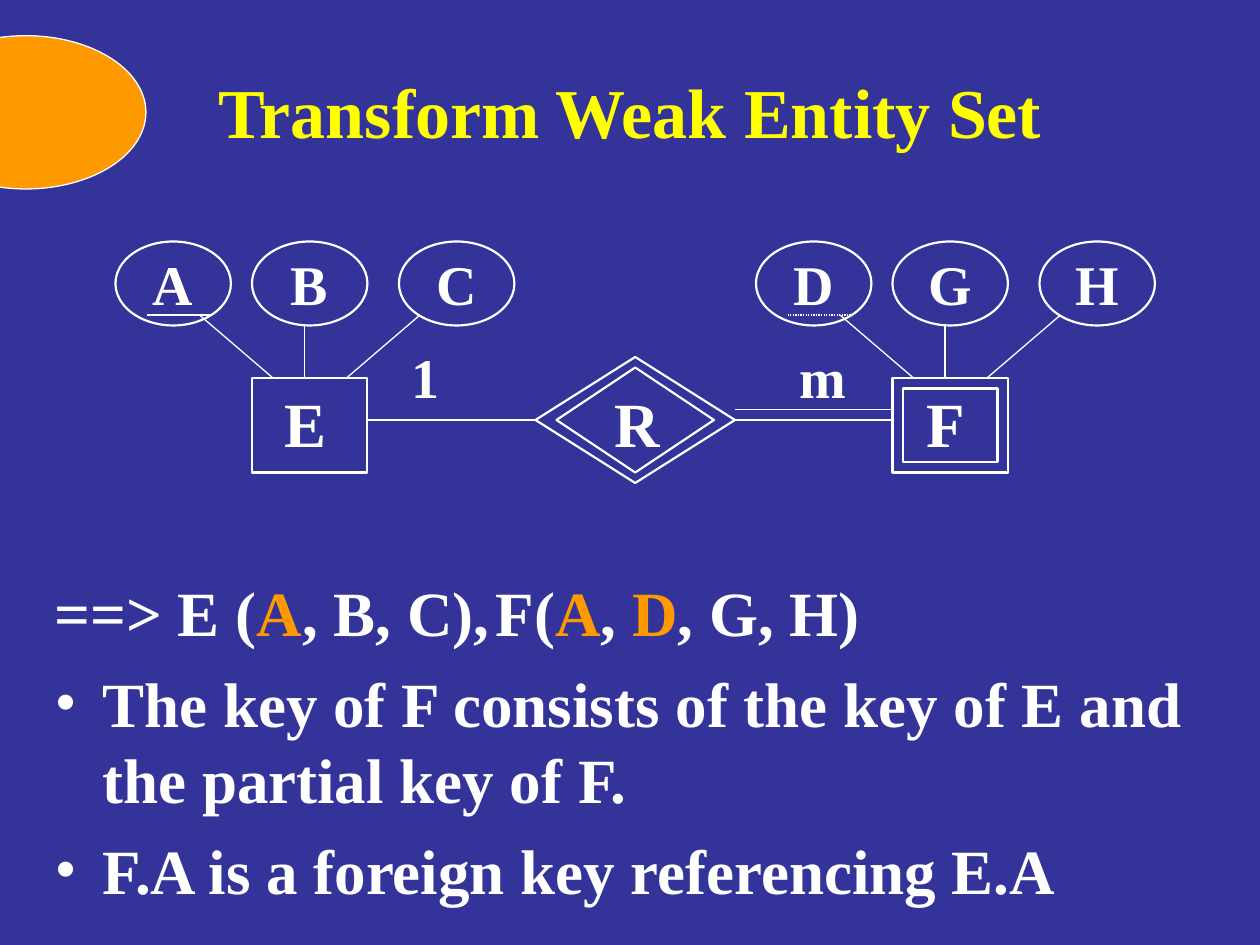
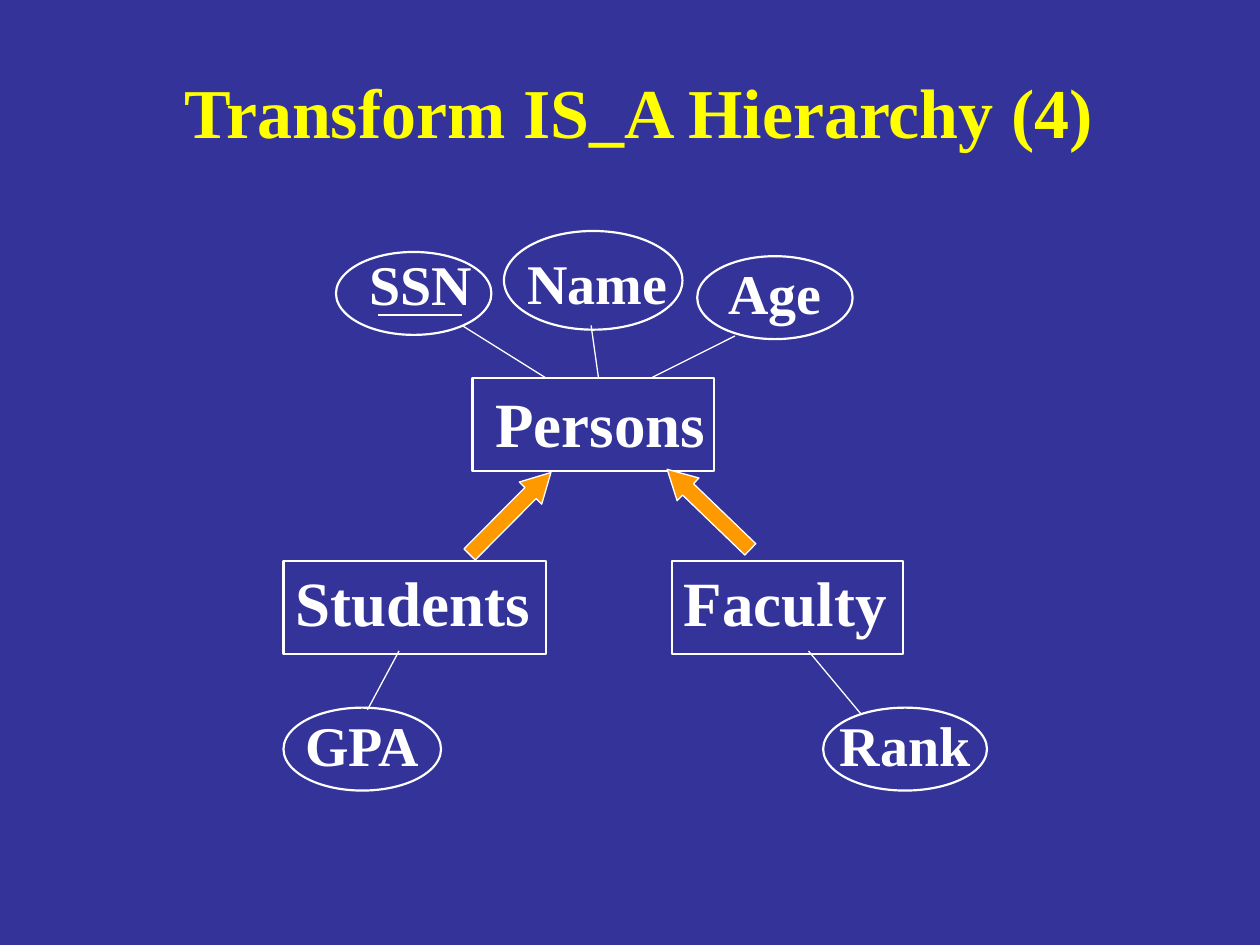
from dataclasses import dataclass

from lxml import etree
from pptx import Presentation, util as u
from pptx.dml.color import RGBColor
from pptx.enum import dml, shapes, text
from pptx.oxml import ns

COLUMNS, ROWS = 120, 90  # grid that covers the slide


@dataclass(frozen=True)
class Theme:
    font: str = "Times New Roman"
    background: str = "333399"
    title: str = "FFFF00"
    ink: str = "FFFFFF"
    accent: str = "FF9900"
    title_size: int = 40
    body_size: int = 36
    attribute_size: int = 32
    outline: float = 1.25
    hairline: float = 0.75


THEME = Theme()
SHAPE = shapes.MSO_SHAPE


def color(name):
    return RGBColor.from_string(name)


def set_font(paragraph, size, ink=THEME.ink):
    font = paragraph.font
    font.name, font.size, font.bold = THEME.font, u.Pt(size), True
    font.color.rgb = color(ink)


def clear_margins(frame):
    frame.margin_left = frame.margin_right = 0
    frame.margin_top = frame.margin_bottom = 0


def add_pPr_child(paragraph, tag, **attributes):
    properties = paragraph._p.get_or_add_pPr()
    return etree.SubElement(properties, ns.qn(tag), attributes)


class Area:
    """Part of a slide, measured in grid columns and rows from its corner."""

    def __init__(self, presentation, slide, left=0, top=0):
        self.slide, self.left, self.top = slide, left, top
        self.column = presentation.slide_width / COLUMNS
        self.row = presentation.slide_height / ROWS

    def point(self, x, y):
        return (u.Emu(round((self.left + x) * self.column)),
                u.Emu(round((self.top + y) * self.row)))

    def box(self, left, top, width, height):
        return (*self.point(left, top),
                u.Emu(round(width * self.column)), u.Emu(round(height * self.row)))

    def move(self, placeholder, box):
        (placeholder.left, placeholder.top,
         placeholder.width, placeholder.height) = self.box(*box)

    def set_label(self, frame, label, size, shift=(0, 0)):
        """Centre a label, moved off the middle by shift."""
        clear_margins(frame)
        frame.word_wrap = False
        frame.vertical_anchor = text.MSO_ANCHOR.MIDDLE
        across = u.Emu(round(2 * abs(shift[0]) * self.column))
        down = u.Emu(round(2 * abs(shift[1]) * self.row))
        if shift[0] > 0:
            frame.margin_left = across
        else:
            frame.margin_right = across
        if shift[1] > 0:
            frame.margin_top = down
        else:
            frame.margin_bottom = down
        paragraph = frame.paragraphs[0]
        paragraph.text = label
        paragraph.alignment = text.PP_ALIGN.CENTER
        set_font(paragraph, size)

    def shape(self, kind, box, fill=None, line=THEME.outline):
        shape = self.slide.shapes.add_shape(kind, *self.box(*box))
        shape.shadow.inherit = False
        if fill:
            shape.fill.solid()
            shape.fill.fore_color.rgb = color(fill)
        else:
            shape.fill.background()
        shape.line.color.rgb = color(THEME.ink)
        shape.line.width = u.Pt(line)
        return shape

    def node(self, kind, label, box, size=THEME.body_size, shift=(0, 0)):
        shape = self.shape(kind, box)
        self.set_label(shape.text_frame, label, size, shift)
        return shape

    def attribute(self, label, box, shift=(0, 0)):
        return self.node(SHAPE.OVAL, label, box, THEME.attribute_size, shift)

    def label(self, label, box):
        textbox = self.slide.shapes.add_textbox(*self.box(*box))
        self.set_label(textbox.text_frame, label, THEME.attribute_size)

    def link(self, start, end, dotted=False):
        connector = self.slide.shapes.add_connector(
            shapes.MSO_CONNECTOR.STRAIGHT, *self.point(*start), *self.point(*end))
        connector.line.color.rgb = color(THEME.ink)
        connector.line.width = u.Pt(THEME.hairline)
        if dotted:
            connector.line.dash_style = dml.MSO_LINE.ROUND_DOT
        etree.SubElement(connector._element.spPr, ns.qn("a:effectLst"))
        return connector


def add_titled_slide(presentation, layout_name, title, inset=0):
    layout = presentation.slide_layouts.get_by_name(layout_name)
    slide = presentation.slides.add_slide(layout)
    page = Area(presentation, slide)
    page.move(slide.shapes.title, (9, 5, 102, 11))
    frame = slide.shapes.title.text_frame
    clear_margins(frame)
    frame.margin_left = u.Inches(inset)
    frame.vertical_anchor = text.MSO_ANCHOR.MIDDLE
    paragraph = frame.paragraphs[0]
    paragraph.text = title
    paragraph.alignment = text.PP_ALIGN.CENTER
    set_font(paragraph, THEME.title_size, THEME.title)
    return page


def draw_entity_set(area, entity, attributes, weak=False):
    """Three attributes above their entity; the first one is the key."""
    for label, left in zip(attributes, (0, 13, 27)):
        area.attribute(label, (left, 0, 11, 8))
    area.link((3, 7), (9, 7), dotted=weak)
    for start, end in (((8, 7), (15, 13)), ((18, 8), (18, 13)), ((29, 7), (22, 13))):
        area.link(start, end)
    area.node(SHAPE.RECTANGLE, entity, (13, 13, 11, 9), shift=(-0.4, -0.3))
    if weak:
        area.shape(SHAPE.RECTANGLE, (14, 14, 9, 7))


def draw_relationship(area):
    """Double diamond with its single link and its double link."""
    diamond = area.node(SHAPE.DIAMOND, "R", (16, 0, 19, 12), shift=(0.2, 0.2))
    area.shape(SHAPE.DIAMOND, (18, 1, 15, 10))
    area.link((0, 6), (16, 6)).end_connect(diamond, 1)
    area.link((35, 6), (50, 6)).begin_connect(diamond, 3)
    area.link((35, 5), (50, 5))
    area.label("1", (3, -2, 5, 7.7))
    area.label("m", (40, -2, 6.8, 7.7))


def fill_schema_list(area, placeholder, box):
    area.move(placeholder, box)
    frame = placeholder.text_frame
    frame.word_wrap = True

    # Relation schemas, with key attributes in the accent colour
    schema = frame.paragraphs[0]
    properties = schema._p.get_or_add_pPr()
    properties.set("marL", "0")
    properties.set("indent", "0")
    schema.space_before = u.Pt(0)
    add_pPr_child(schema, "a:buNone")
    tabs = add_pPr_child(schema, "a:tabLst")
    etree.SubElement(tabs, ns.qn("a:tab"), pos=str(u.Inches(3.82)), algn="l")
    set_font(schema, THEME.body_size)
    parts = (("==> E (", False), ("A", True), (", B, C),\tF(", False),
             ("A", True), (",", False), (" D", True), (", G, H)", False))
    for words, is_key in parts:
        run = schema.add_run()
        run.text = words
        run.font.color.rgb = color(THEME.accent if is_key else THEME.ink)

    # Bulleted remarks
    for remark in ("The key of F consists of the key of E and the partial key of F.",
                   "F.A is a foreign key referencing E.A"):
        paragraph = frame.add_paragraph()
        paragraph.text = remark
        properties = paragraph._p.get_or_add_pPr()
        properties.set("marL", str(u.Inches(0.38)))
        properties.set("indent", str(u.Inches(-0.38)))
        paragraph.space_before = u.Pt(9)
        bullet_color = add_pPr_child(paragraph, "a:buClr")
        etree.SubElement(bullet_color, ns.qn("a:srgbClr"), val=THEME.ink)
        add_pPr_child(paragraph, "a:buFont", typeface=THEME.font)
        add_pPr_child(paragraph, "a:buChar", char="•")
        set_font(paragraph, THEME.body_size)


def build_weak_entity_slide(presentation):
    page = add_titled_slide(presentation, "Title and Content", "Transform Weak Entity Set")
    fill_schema_list(page, page.slide.placeholders[1], (4, 54, 112, 32))
    draw_entity_set(Area(presentation, page.slide, 11, 23), "E", "ABC")
    draw_entity_set(Area(presentation, page.slide, 72, 23), "F", "DGH", weak=True)
    draw_relationship(Area(presentation, page.slide, 35, 34))
    page.shape(SHAPE.OVAL, (-9, 3.4, 22.9, 14.6), THEME.accent, THEME.hairline)


def draw_hierarchy(area):
    """Parent entity, its two subtypes and their attributes."""
    # Entities
    area.node(SHAPE.RECTANGLE, "Persons", (18, 14, 23, 8.9), shift=(0.7, -0.2))
    area.node(SHAPE.RECTANGLE, "Students", (0, 31.4, 25, 8.9), shift=(-0.2, -0.6))
    area.node(SHAPE.RECTANGLE, "Faculty", (37, 31.4, 22, 8.9), shift=(-0.2, -0.6))

    # Attributes
    area.attribute("SSN", (5, 2, 14.8, 7.9), shift=(0.7, -1))
    area.attribute("Name", (21, 0, 17, 9.4), shift=(0.4, 0.2))
    area.attribute("Age", (39.4, 2.4, 14.8, 7.9), shift=(0, -0.5))
    area.attribute("GPA", (0, 45.4, 15, 7.9), shift=(0, -0.5))
    area.attribute("Rank", (51.4, 45.4, 15.6, 7.9), shift=(0, -0.5))

    # Key underline, then links from attributes to entities
    for start, end in (((9, 8), (17, 8)),
                       ((17, 9), (25, 14)),
                       ((29.3, 9), (30, 14)),
                       ((43, 10), (35, 14)),
                       ((11, 40), (8, 45.6)),
                       ((50, 40), (55, 46))):
        area.link(start, end)

    # Arrows from subtypes to parent
    for left, top, angle in ((16.1, 25.4, 314.8), (35, 25, 223.9)):
        arrow = area.shape(SHAPE.RIGHT_ARROW, (left, top, 11, 3),
                           THEME.accent, THEME.hairline)
        arrow.adjustments[0], arrow.adjustments[1] = 0.5, 0.92
        arrow.rotation = angle


def build_hierarchy_slide(presentation):
    page = add_titled_slide(presentation, "Title Only",
                            "Transform IS_A Hierarchy (4)", inset=0.14)
    draw_hierarchy(Area(presentation, page.slide, 27, 22))


def main():
    presentation = Presentation()
    presentation.slide_width, presentation.slide_height = u.Inches(10), u.Inches(7.5)
    background = presentation.slide_master.background.fill
    background.solid()
    background.fore_color.rgb = color(THEME.background)
    build_weak_entity_slide(presentation)
    build_hierarchy_slide(presentation)
    presentation.save("out.pptx")


if __name__ == "__main__":
    main()
